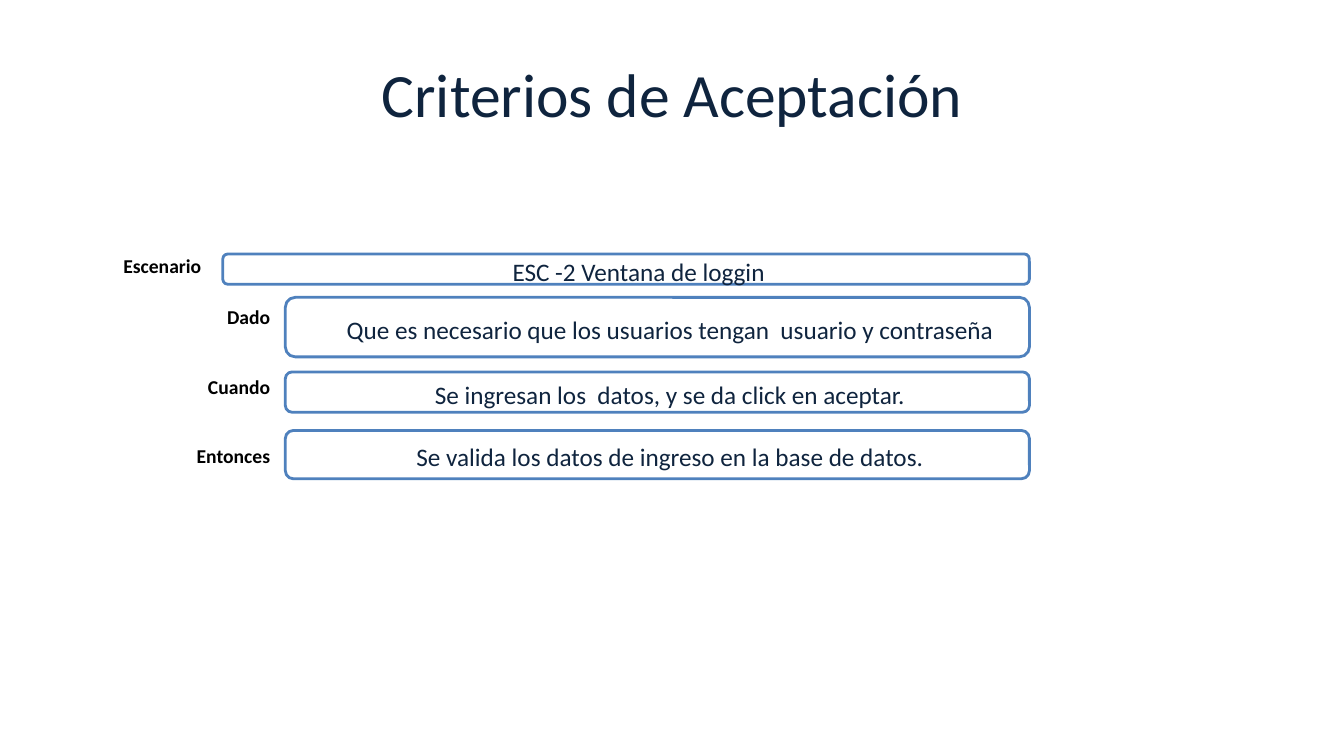
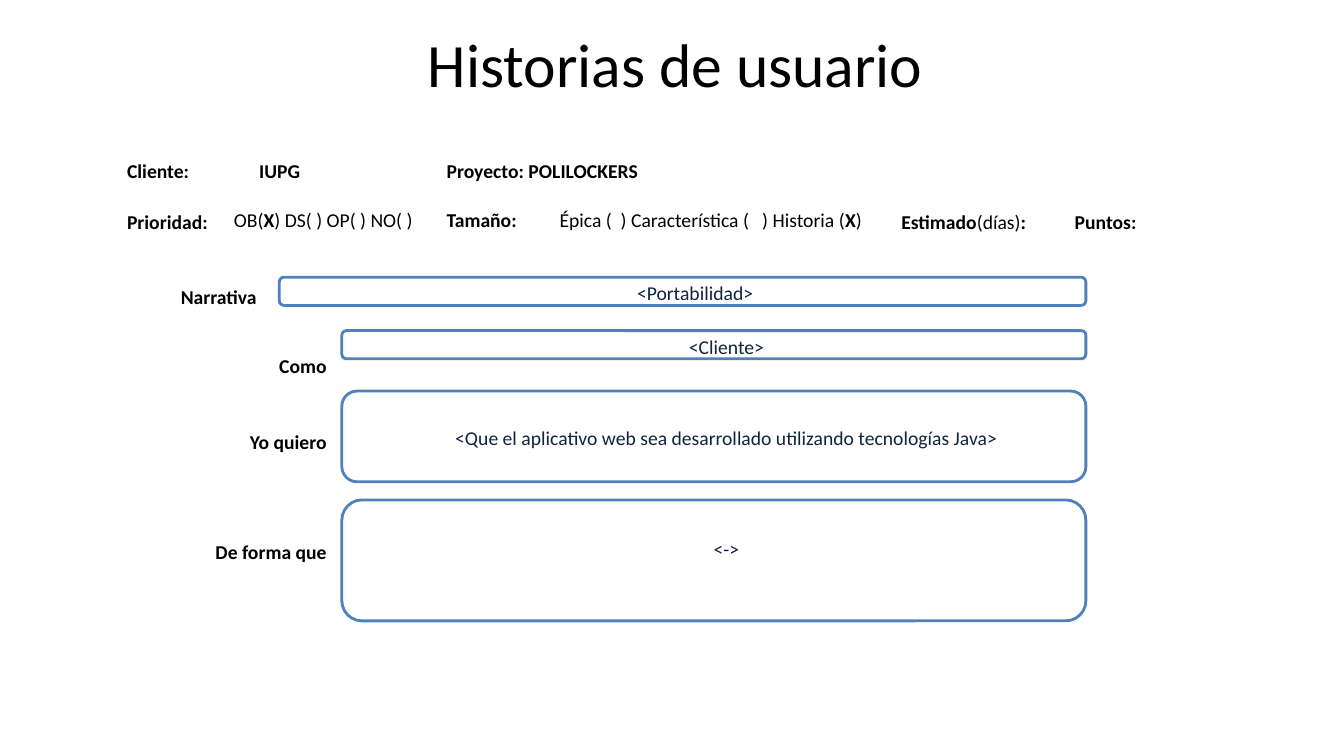
from dataclasses import dataclass

from pptx import Presentation
from pptx.dml.color import RGBColor
from pptx.enum.shapes import MSO_SHAPE
from pptx.enum.text import MSO_ANCHOR, PP_ALIGN
from pptx.oxml.ns import qn
from pptx.util import Pt

EMU_PER_PX = 9144  # 100 px to the inch
TITLE_ONLY = 5
PLAIN_TABLE = "{2D5ABB26-0587-4C30-8999-92F81FD0307C}"


@dataclass(frozen=True)
class Theme:
    font: str = "Calibri"
    black: RGBColor = RGBColor(0x00, 0x00, 0x00)
    navy: RGBColor = RGBColor(0x0F, 0x24, 0x3E)
    blue: RGBColor = RGBColor(0x4F, 0x81, 0xBD)
    white: RGBColor = RGBColor(0xFF, 0xFF, 0xFF)
    title_size: int = 44
    body_size: int = 18
    label_size: int = 14
    line_width: int = 2
    spacing: float = 1.15


THEME = Theme()


@dataclass
class Cell:
    """A table cell: spans are (text, bold) pairs, or one bold string."""
    spans: object
    align: PP_ALIGN = PP_ALIGN.LEFT
    anchor: MSO_ANCHOR = MSO_ANCHOR.MIDDLE
    spacing: float = THEME.spacing
    indent: int = 0


def px(value):
    return value * EMU_PER_PX


def px_box(*lengths):
    return [px(length) for length in lengths]


def style_para(para, size, color, align, spacing=None, bold=None):
    para.alignment = align
    para.line_spacing = spacing
    para.font.name = THEME.font
    para.font.size = Pt(size)
    para.font.color.rgb = color
    para.font.bold = bold


def set_insets(target, left, top, right, bottom):
    target.margin_left, target.margin_top = px(left), px(top)
    target.margin_right, target.margin_bottom = px(right), px(bottom)


# Titles
def add_titled_page(deck, text, left, top, color):
    page = deck.slides.add_slide(deck.slide_layouts[TITLE_ONLY])
    title = page.shapes.title
    title.left, title.top, title.width, title.height = px_box(left, top, 1200, 125)
    title.text_frame.text = text
    title.text_frame.vertical_anchor = MSO_ANCHOR.MIDDLE
    style_para(title.text_frame.paragraphs[0], THEME.title_size, color, PP_ALIGN.CENTER)
    return page


# Tables
def add_plain_table(page, left, top, columns, rows):
    frame = page.shapes.add_table(
        len(rows), len(columns), *px_box(left, top, sum(columns), sum(rows)))
    table = frame.table
    table.first_row = table.horz_banding = False
    table._tbl.tblPr.find(qn("a:tableStyleId")).text = PLAIN_TABLE
    for column, width in zip(table.columns, columns):
        column.width = px(width)
    for row, height in zip(table.rows, rows):
        row.height = px(height)
    for cell in table.iter_cells():
        cell.fill.background()
        set_insets(cell, 7, 2, 7, 0)
    return table


def fill_cell(target, content):
    target.vertical_anchor = content.anchor
    target.margin_left = px(7 + content.indent)
    para = target.text_frame.paragraphs[0]
    spans = content.spans
    if isinstance(spans, str):
        spans = [(spans, True)]
    for text, bold in spans:
        span = para.add_run()
        span.text = text
        if len(spans) > 1:
            span.font.bold = bold
    style_para(para, THEME.label_size, THEME.black, content.align, content.spacing,
               spans[0][1] if len(spans) == 1 else None)


def add_label_table(page, left, top, rows, labels, low_label=None):
    """The first label stands in a narrow column, the others in a wider one."""
    table = add_plain_table(page, left, top, [118, 55, 770], rows)
    for index, label in enumerate(labels):
        if index == 0:
            table.cell(0, 1).merge(table.cell(0, 2))
            align = PP_ALIGN.CENTER
        else:
            table.cell(index, 0).merge(table.cell(index, 1))
            align = PP_ALIGN.RIGHT
        anchor = MSO_ANCHOR.BOTTOM if label == low_label else MSO_ANCHOR.MIDDLE
        fill_cell(table.cell(index, 0), Cell(label, align, anchor))


def add_header_table(page):
    table = add_plain_table(
        page, 119, 145, [106, 211, 112, 339, 172, 81, 46], [46, 55])
    table.cell(0, 2).merge(table.cell(0, 6))
    fields = [
        [Cell("Cliente:"), Cell("IUPG", indent=25), Cell("Proyecto: POLILOCKERS")],
        [
            Cell("Prioridad:"),
            Cell([("OB(", False), ("X", True), (") DS( ) OP( ) NO( )", False)],
                 spacing=1.0),
            Cell("Tamaño:", spacing=1.0),
            Cell([("Épica (  ) Característica (   ) Historia (", False),
                  ("X", True), (")", False)], spacing=1.0),
            Cell([("Estimado", True), ("(días)", False), (":", True)]),
            Cell("Puntos:"),
        ],
    ]
    for row, contents in enumerate(fields):
        for column, content in enumerate(contents):
            fill_cell(table.cell(row, column), content)


# Rounded answer boxes
def add_answers(page, left, size, answers):
    """Each answer is (text, top, height, bottom inset); the first box is wider."""
    for index, (text, top, height, bottom) in enumerate(answers):
        step = 62 if index else 0
        box = page.shapes.add_shape(
            MSO_SHAPE.ROUNDED_RECTANGLE, *px_box(left + step, top, 800 - step, height))
        box.shadow.inherit = False
        box.fill.solid()
        box.fill.fore_color.rgb = THEME.white
        box.line.color.rgb = THEME.blue
        box.line.width = Pt(THEME.line_width)
        frame = box.text_frame
        frame.word_wrap = True
        frame.vertical_anchor = MSO_ANCHOR.MIDDLE
        set_insets(frame, 25, 0, 0, bottom)
        frame.text = text
        style_para(frame.paragraphs[0], size, THEME.navy, PP_ALIGN.CENTER, THEME.spacing)


# Pages
def add_criteria_page(deck):
    page = add_titled_page(deck, "Criterios de Aceptación", 67, 30, THEME.navy)
    add_label_table(page, 102, 239, [46, 55, 57, 106],
                    ["Escenario", "Dado", "Cuando", "Entonces"], low_label="Cuando")
    add_answers(page, 221, THEME.body_size, [
        ("ESC -2 Ventana de loggin", 252, 30, 0),
        ("Que es necesario que los usuarios tengan  usuario y contraseña", 295, 59, 0),
        ("Se ingresan los  datos, y se da click en aceptar.", 369, 40, 0),
        ("Se valida los datos de ingreso en la base de datos.", 427, 48, 0),
    ])


def add_story_page(deck):
    page = add_titled_page(deck, "Historias de usuario", 70, 0, THEME.black)
    add_label_table(page, 158, 262, [62, 75, 75, 143],
                    ["Narrativa", "Como", "Yo quiero", "De forma que"])
    add_answers(page, 277, THEME.label_size, [
        ("<Portabilidad>", 275, 28, 0),
        ("<Cliente>", 328, 28, 0),
        ("<Que el aplicativo web sea desarrollado utilizando tecnologías Java>",
         388, 90, 0),
        ("<->", 496, 120, 27),
    ])
    add_header_table(page)


def main():
    deck = Presentation()
    deck.slide_width, deck.slide_height = px_box(1333, 750)
    add_criteria_page(deck)
    add_story_page(deck)
    deck.save("out.pptx")


if __name__ == "__main__":
    main()
